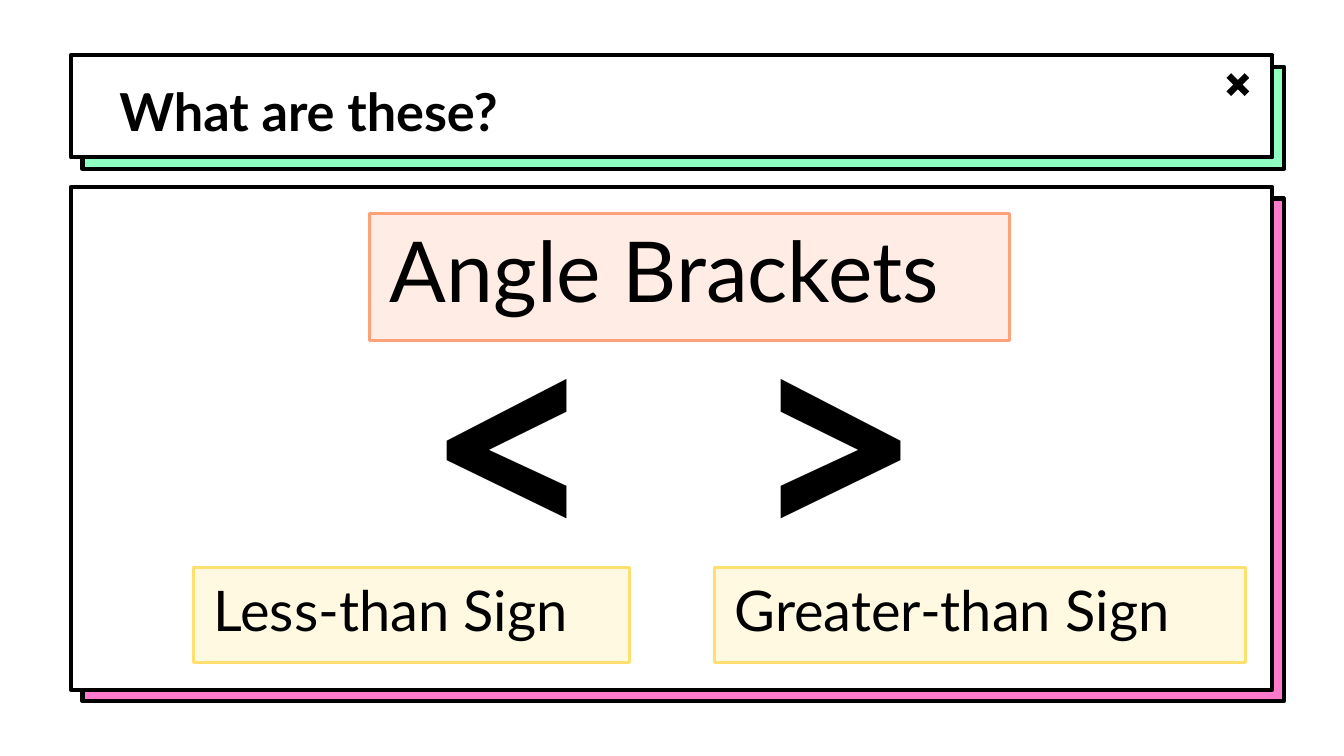
from pptx import Presentation
from pptx.dml.color import RGBColor
from pptx.enum.shapes import MSO_SHAPE as SHAPE
from pptx.enum.text import MSO_ANCHOR as ANCHOR, PP_ALIGN as ALIGN
from pptx.util import Pt

# Content; boxes are (left, top, width, height) in points
BLACK, WHITE = "000000", "FFFFFF"
SHADOW_OFFSET = 6.2
PANEL_LEFT, PANEL_WIDTH = 38, 643.7
PANELS = [  # top, height, shadow colour
    (29.6, 54.7, "8FFFC1"),
    (100.2, 269.3, "FF7ACD"),
]
CLOSE_MARK = (653.8, 36, 18.7, 18.7)
TITLE = ("What are these?", (56.9, 35.3, 607, 45.4))
SYMBOLS = ("< >", (58.7, 106.6, 605, 256.3))
LABELS = [  # text, box, size, fill, border
    ("Less-than Sign", (103.7, 304, 233.6, 51.1), 30, "FFF9E2", "FFDF6D"),
    ("Greater-than Sign", (382.8, 304, 284.6, 51.1), 30, "FFF9E2", "FFDF6D"),
    ("Angle Brackets", (198, 114.5, 343, 67.9), 45, "FFECE4", "FFA27A"),
]


def color(value):
    return RGBColor.from_string(value)


def add_box(s, box, fill, line=None, width=2.25, kind=SHAPE.RECTANGLE):
    sp = s.shapes.add_shape(kind, *map(Pt, box))
    sp.shadow.inherit = False
    sp.fill.solid()
    sp.fill.fore_color.rgb = color(fill)
    if line:
        sp.line.color.rgb = color(line)
        sp.line.width = Pt(width)
    else:
        sp.line.fill.background()
    return sp


def write(sp, text, size, font="Lato", bold=False, align=ALIGN.LEFT,
          anchor=ANCHOR.TOP, inset=(7.2, 7.2), spacing=1.0, after=0):
    tf = sp.text_frame
    tf.word_wrap = True
    tf.vertical_anchor = anchor
    tf.margin_left = tf.margin_right = Pt(inset[0])
    tf.margin_top = tf.margin_bottom = Pt(inset[1])
    p = tf.paragraphs[0]
    p.alignment = align
    p.line_spacing = spacing
    p.space_after = Pt(after)
    r = p.add_run()
    r.text = text
    r.font.name = font
    r.font.size = Pt(size)
    r.font.bold = bold
    r.font.color.rgb = color(BLACK)


prs = Presentation()
prs.slide_width, prs.slide_height = Pt(720), Pt(405)
s = prs.slides.add_slide(prs.slide_layouts[6])

# Window panels with offset shadows
for top, height, shade in PANELS:
    for offset, fill in ((SHADOW_OFFSET, shade), (0, WHITE)):
        add_box(s, (PANEL_LEFT + offset, top + offset, PANEL_WIDTH, height),
                fill, BLACK)

# Close mark
close = add_box(s, CLOSE_MARK, BLACK, kind=SHAPE.MATH_MULTIPLY)
close.adjustments[0] = 0.19

# Title and large symbols
text, box = TITLE
write(s.shapes.add_textbox(*map(Pt, box)), text, 28, bold=True)
text, box = SYMBOLS
write(s.shapes.add_textbox(*map(Pt, box)), text, 149.2, font="Noto Sans Mono",
      bold=True, align=ALIGN.CENTER, anchor=ANCHOR.MIDDLE)

# Coloured labels
for text, box, size, fill, border in LABELS:
    write(add_box(s, box, fill, border, 1.5), text, size,
          inset=(10.8, 8.64), spacing=0.9, after=4.5)

prs.save("out.pptx")
